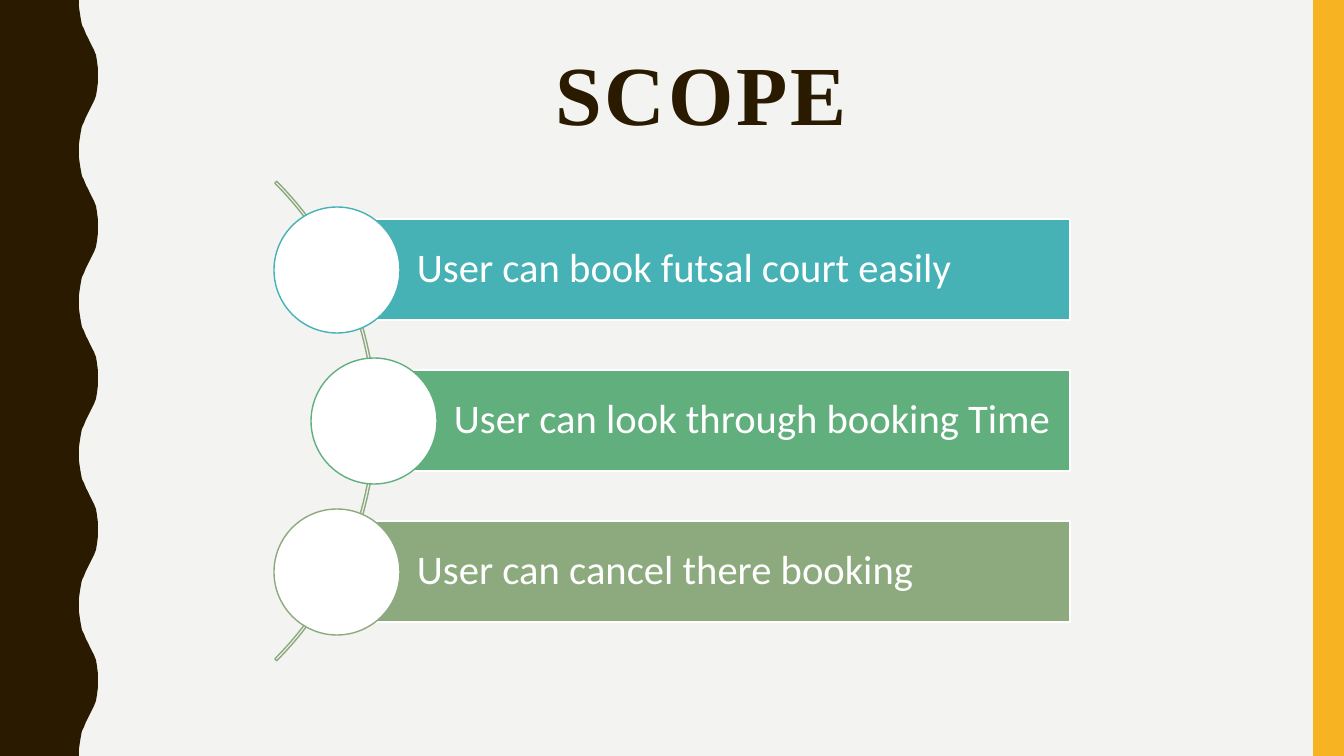
"""Build the SCOPE slide: a wavy side band, a title and three bars strung along an arc."""
from dataclasses import dataclass
from typing import Any, NamedTuple

from pptx import Presentation
from pptx.dml.color import RGBColor
from pptx.enum.shapes import MSO_SHAPE
from pptx.enum.text import MSO_ANCHOR, PP_ALIGN
from pptx.util import Emu, Pt

PX = 914400 / 100.8
WIDTH, HEIGHT = 1344, 756


@dataclass(frozen=True)
class Theme:
    paper: str = "F3F3F2"
    brown: str = "2A1A00"
    amber: str = "F8B323"
    white: str = "FFFFFF"
    teal: str = "46B2B5"
    green: str = "62AF7E"
    sage: str = "8CAA7E"
    title_font: str = "Times New Roman"
    body_font: str = "Calibri"
    title_size: int = 60
    body_size: int = 29
    line_width: int = 1


class Box(NamedTuple):
    left: int
    top: int
    width: int
    height: int


class Item(NamedTuple):
    text: str
    color: str
    left: int


T = Theme()
ITEMS = [
    Item("User can book futsal court easily", T.teal, 337),
    Item("User can look through booking Time", T.green, 374),
    Item("User can cancel there booking", T.sage, 337),
]
BAR_TOP, BAR_HEIGHT, BAR_RIGHT, BAR_STEP = 219, 101, 1070, 151
CIRCLE = 126
WAVES = 5
HALF_WAVE = [(79, 0), (79, 7), (80, 14), (81, 20), (82, 25), (84, 29), (86, 34), (88, 38),
             (90, 42), (92, 46), (94, 50), (96, 55), (97, 61), (98, 69), (98, 76)]


def px(n: float) -> Emu:
    return Emu(round(n * PX))


def apply(obj: Any, formats: dict[str, Any]) -> None:
    for name, value in formats.items():
        setattr(obj, name, value)


def paint(sp: Any, fill: str | None, line: str | None = None) -> None:
    sp.shadow.inherit = False
    if fill:
        sp.fill.solid()
        sp.fill.fore_color.rgb = RGBColor.from_string(fill)
    else:
        sp.fill.background()
    if line:
        sp.line.color.rgb = RGBColor.from_string(line)
        sp.line.width = Pt(T.line_width)
    else:
        sp.line.fill.background()


def add_preset(s: Any, kind: MSO_SHAPE, box: Box, fill: str | None, line: str | None = None) -> Any:
    sp = s.shapes.add_shape(kind, *map(px, box))
    paint(sp, fill, line)
    return sp


def write(sp: Any, text: str, frame: dict[str, Any], para: dict[str, Any],
          font: dict[str, Any], color: str) -> Any:
    tf = sp.text_frame
    apply(tf, {"word_wrap": True, **frame})
    p = tf.paragraphs[0]
    apply(p, {"line_spacing": 0.9, **para})
    r = p.add_run()
    r.text = text
    apply(r.font, font)
    r.font.color.rgb = RGBColor.from_string(color)
    return r


def add_wavy_band(s: Any) -> None:
    wave = HEIGHT / WAVES
    crest = HALF_WAVE + [(x, wave - y) for x, y in reversed(HALF_WAVE[:-1])]
    edge = [(x, i * wave + y) for i in range(WAVES) for x, y in crest]
    fb = s.shapes.build_freeform(0, 0, scale=PX)
    fb.add_line_segments([*edge, (0, HEIGHT)], close=True)
    paint(fb.convert_to_shape(), T.brown)


def add_title(s: Any, text: str) -> None:
    sp = s.shapes.add_textbox(*map(px, Box(140, 48, 1122, 164)))
    r = write(sp, text, {"vertical_anchor": MSO_ANCHOR.TOP}, {"alignment": PP_ALIGN.CENTER},
              {"name": T.title_font, "size": Pt(T.title_size), "bold": True}, T.brown)
    r._r.get_or_add_rPr().set("spc", "200")


def add_arc(s: Any) -> None:
    sp = add_preset(s, MSO_SHAPE.BLOCK_ARC, Box(-302, 82, 678, 678), None, T.sage)
    for i, value in enumerate((189, 27, 0.004)):
        sp.adjustments[i] = value


def add_item(s: Any, item: Item, top: int) -> None:
    bar = Box(item.left, top, BAR_RIGHT - item.left, BAR_HEIGHT)
    sp = add_preset(s, MSO_SHAPE.RECTANGLE, bar, item.color, T.white)
    frame = {"vertical_anchor": MSO_ANCHOR.MIDDLE, "margin_left": px(80), "margin_right": px(8),
             "margin_top": px(8), "margin_bottom": px(8)}
    write(sp, item.text, frame, {"alignment": PP_ALIGN.LEFT},
          {"name": T.body_font, "size": Pt(T.body_size)}, T.white)
    disc = Box(item.left - CIRCLE // 2, top - (CIRCLE - BAR_HEIGHT) // 2, CIRCLE, CIRCLE)
    add_preset(s, MSO_SHAPE.OVAL, disc, T.white, item.color)


def main() -> None:
    prs = Presentation()
    apply(prs, {"slide_width": px(WIDTH), "slide_height": px(HEIGHT)})
    s = prs.slides.add_slide(prs.slide_layouts[6])
    s.background.fill.solid()
    s.background.fill.fore_color.rgb = RGBColor.from_string(T.paper)
    add_wavy_band(s)
    add_preset(s, MSO_SHAPE.RECTANGLE, Box(1313, 0, WIDTH - 1313, HEIGHT), T.amber)
    add_title(s, "SCOPE")
    add_arc(s)
    for i, item in enumerate(ITEMS):
        add_item(s, item, BAR_TOP + i * BAR_STEP)
    prs.save("out.pptx")


main()
